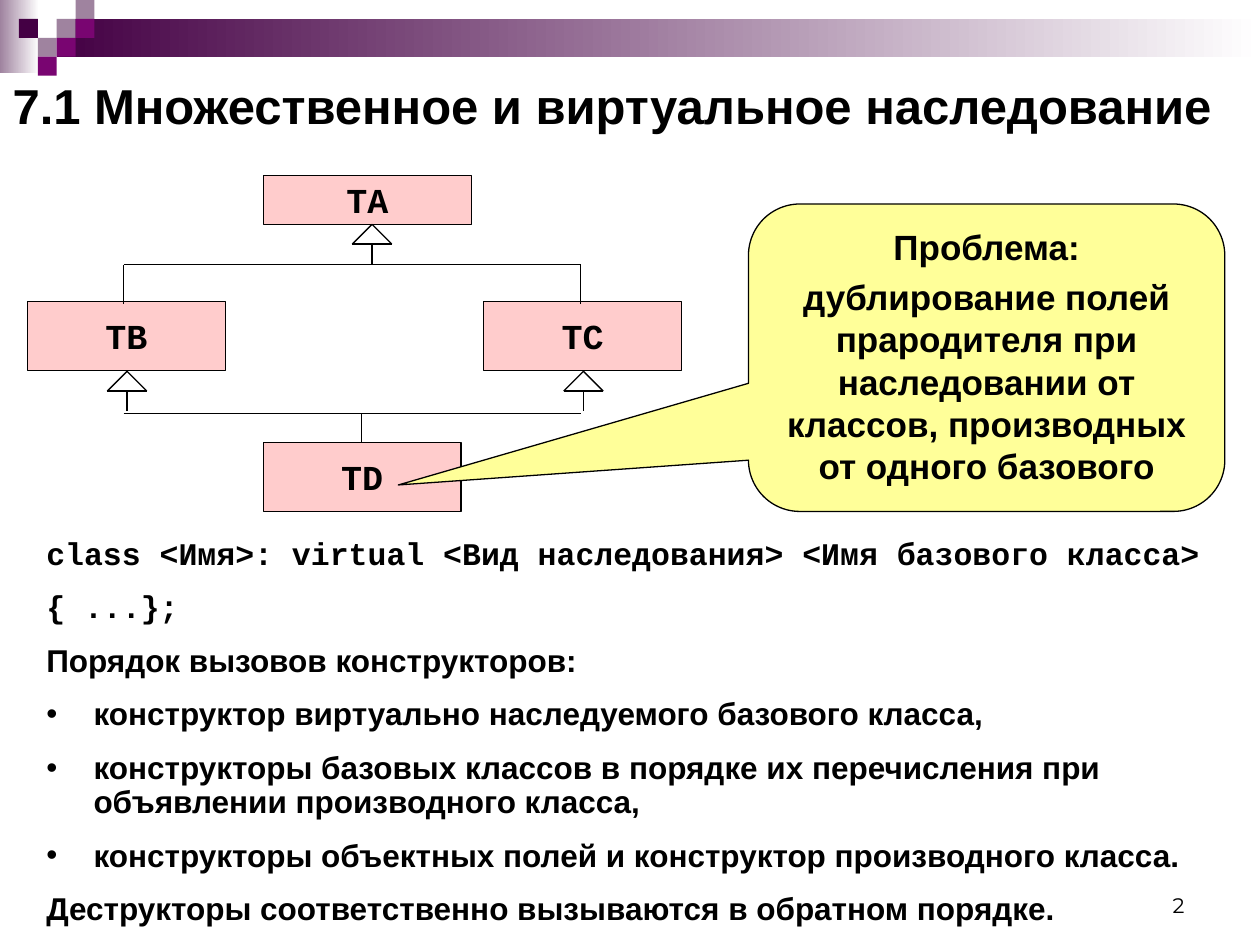
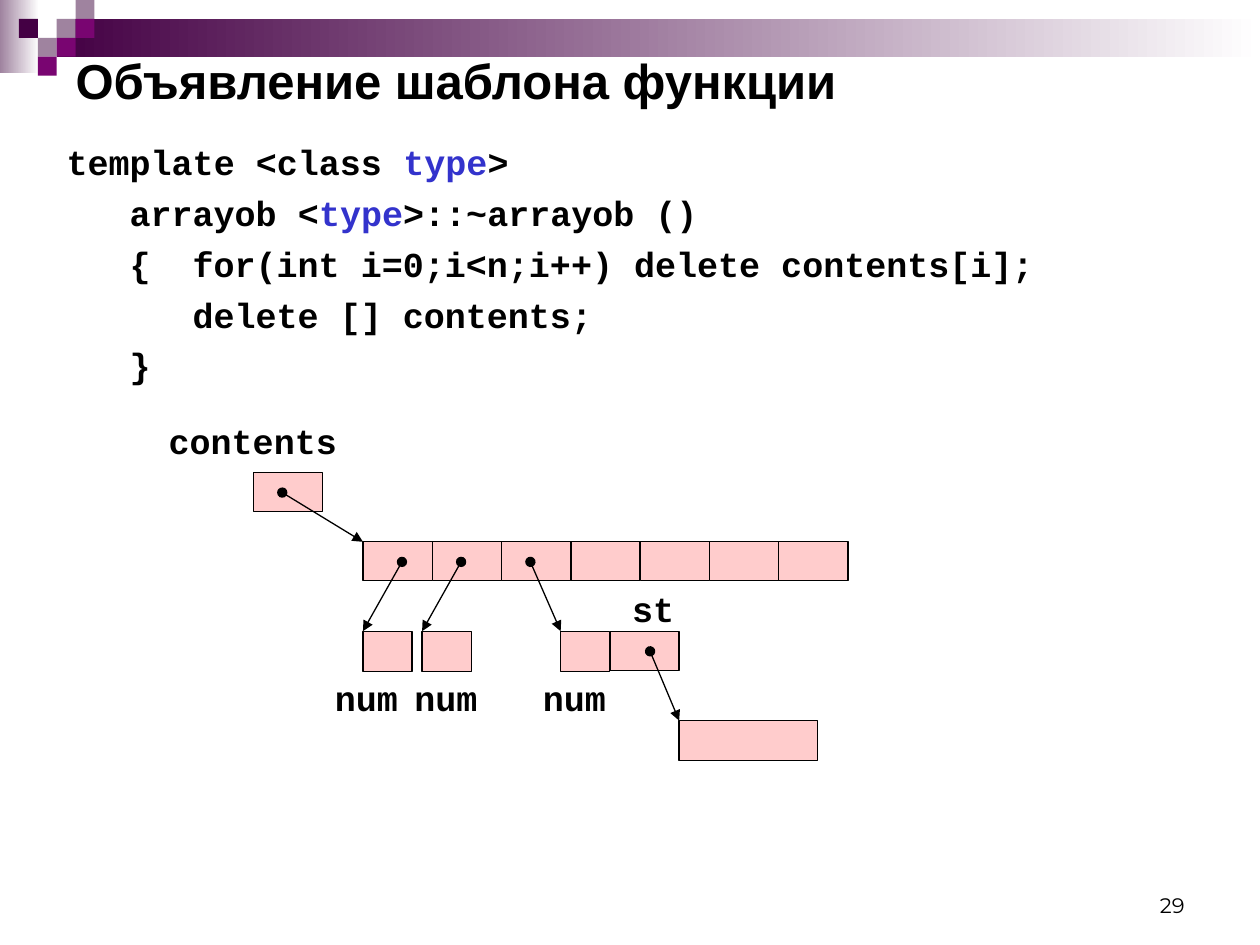
from lxml.etree import SubElement
from pptx import Presentation
from pptx.dml.color import RGBColor
from pptx.enum.shapes import MSO_CONNECTOR, MSO_SHAPE
from pptx.enum.text import MSO_ANCHOR as ANCHOR, MSO_AUTO_SIZE, PP_ALIGN as ALIGN
from pptx.oxml.ns import qn
from pptx.util import Pt

SANS, MONO, NUMBER_FONT = "Arial", "Courier New", "Montserrat"
BLACK, WHITE, BLUE = "000000", "FFFFFF", "3333CC"
PINK, YELLOW = "FFCCCC", "FFFF99"
DARK, PURPLE, MAUVE = "440044", "790571", "9F839F"
LINE_WIDTH = 0.74
SQUARE = 10.8  # side of a corner square
HANG = 27  # hanging indent of body text
SQUARES = [(3, 1, MAUVE), (4, 0, MAUVE), (4, 1, PURPLE), (2, 2, MAUVE),
           (1, 1, DARK), (3, 2, PURPLE), (2, 3, PURPLE)]  # column, row, colour


def rgb(value):
    """Turn a hex string into a colour."""
    return RGBColor.from_string(value)


def style(p, size, font=SANS, color=BLACK, bold=True):
    """Format every run of a paragraph."""
    for r in p.runs:
        r.font.size, r.font.name, r.font.bold = Pt(size), font, bold
        r.font.color.rgb = rgb(color)


def indent(p, left, first):
    """Set the left margin and the first-line indent of a paragraph."""
    pPr = p._p.get_or_add_pPr()
    pPr.set("marL", str(Pt(left)))
    pPr.set("indent", str(Pt(first)))


def bullet(p):
    """Give a paragraph a round black bullet."""
    pPr = p._p.get_or_add_pPr()
    SubElement(SubElement(pPr, qn("a:buClr")), qn("a:srgbClr")).set("val", BLACK)
    SubElement(pPr, qn("a:buFont")).set("typeface", SANS)
    SubElement(pPr, qn("a:buChar")).set("char", "•")


def add_paragraph(tf, text):
    """Return a paragraph with the text, using the empty first one if it is free."""
    p = tf.paragraphs[0] if not tf.text else tf.add_paragraph()
    p.text = text
    return p


def add_box(s, x, y, w, h, fill=PINK, shape=MSO_SHAPE.RECTANGLE):
    """Draw a filled shape with a thin black outline."""
    sp = s.shapes.add_shape(shape, Pt(x), Pt(y), Pt(w), Pt(h))
    sp.shadow.inherit = False
    sp.fill.solid()
    sp.fill.fore_color.rgb = rgb(fill)
    sp.line.color.rgb = rgb(BLACK)
    sp.line.width = Pt(LINE_WIDTH)
    return sp


def add_gradient(s, x, y, w, h, color):
    """Draw a bar that fades from a colour to white, left to right."""
    sp = add_box(s, x, y, w, h)
    sp.line.fill.background()
    sp.fill.gradient()
    sp.fill.gradient_angle = 0
    for stop, value in zip(sp.fill.gradient_stops, (color, WHITE)):
        stop.color.rgb = rgb(value)


def add_line(s, x1, y1, x2, y2, pointer=False):
    """Draw a thin line; a pointer starts with a dot and ends with an arrowhead."""
    c = s.shapes.add_connector(MSO_CONNECTOR.STRAIGHT, Pt(x1), Pt(y1), Pt(x2), Pt(y2))
    c.line.color.rgb = rgb(BLACK)
    c.line.width = Pt(LINE_WIDTH)
    spPr = c._element.spPr
    if pointer:
        ln = spPr.find(qn("a:ln"))
        SubElement(ln, qn("a:headEnd")).set("type", "oval")
        SubElement(ln, qn("a:tailEnd")).set("type", "triangle")
    SubElement(spPr, qn("a:effectLst"))


def add_text(s, x, y, w, h):
    """Add an empty wrapping text box and return its text frame."""
    tf = s.shapes.add_textbox(Pt(x), Pt(y), Pt(w), Pt(h)).text_frame
    tf.word_wrap = True
    return tf


def add_label(s, x, y, text, w=85):
    """Add a code label beside a memory cell."""
    p = add_paragraph(add_text(s, x, y, w, 31.7), text)
    p.space_before = Pt(5)
    style(p, 20, MONO)


def add_class(s, x, y, w, h, name):
    """Draw a class box with its name."""
    tf = add_box(s, x, y, w, h).text_frame
    tf.text = name
    tf.word_wrap = False
    tf.vertical_anchor = ANCHOR.MIDDLE
    tf.paragraphs[0].alignment = ALIGN.CENTER
    style(tf.paragraphs[0], 20, MONO)


def add_inheritance(s, x, y, size=11.3):
    """Draw an open triangle with its tip at (x, y) and a stem below."""
    base = y + size
    add_line(s, x, base + size, x, base)
    add_line(s, x - size, base, x + size, base)
    for side in (-size, size):
        add_line(s, x, y, x + side, base)


def decorate_layout(layout, s):
    """Draw the top band and squares on a slide and move them to its layout."""
    for ph in list(layout.placeholders)[1:]:
        ph._element.getparent().remove(ph._element)
    add_gradient(s, 0, 0, 22.3, 41.8, MAUVE)
    add_gradient(s, 32.4, SQUARE, 687.6, 2 * SQUARE, DARK)
    for col, row, color in SQUARES:
        sq = add_box(s, col * SQUARE, row * SQUARE, SQUARE, SQUARE, color)
        sq.line.fill.background()
    for sp in list(s.shapes)[1:]:
        layout.shapes._spTree.append(sp._element)


def set_frame(s, number, text, x, y, w, h):
    """Fill and place the title and add the slide number."""
    title = s.shapes.title
    title.left, title.top, title.width, title.height = Pt(x), Pt(y), Pt(w), Pt(h)
    tf = title.text_frame
    tf.text = text
    tf.auto_size = MSO_AUTO_SIZE.NONE
    tf.vertical_anchor = ANCHOR.MIDDLE
    tf.paragraphs[0].alignment = ALIGN.LEFT
    style(tf.paragraphs[0], 28)

    tf = add_text(s, 516.2, 491.8, 167.8, 36)
    tf.vertical_anchor = ANCHOR.BOTTOM
    p = add_paragraph(tf, str(number))
    p.alignment = ALIGN.RIGHT
    style(p, 12, NUMBER_FONT, bold=False)


def build_inheritance(s):
    """Multiple inheritance: syntax, class diagram and callout."""
    set_frame(s, 2, "7.1 Множественное и виртуальное наследование", 0, 43.2, 720, 33.8)
    tf = add_text(s, 19.4, 303.8, 700.6, 230.4)
    rows = [
        ("class <Имя>: virtual <Вид наследования> <Имя базового класса>", MONO, False),
        ("{ ...};", MONO, False),
        ("Порядок вызовов конструкторов:", SANS, False),
        ("конструктор виртуально наследуемого базового класса,", SANS, True),
        ("конструкторы базовых классов в порядке их перечисления при "
         "объявлении производного класса,", SANS, True),
        ("конструкторы объектных полей и конструктор производного класса.", SANS, True),
        ("Деструкторы соответственно вызываются в обратном порядке.", SANS, False),
    ]
    for text, font, bulleted in rows:
        p = add_paragraph(tf, text)
        p.line_spacing, p.space_before = 0.9, Pt(11.2)
        indent(p, HANG, -HANG)
        if bulleted:
            bullet(p)
        style(p, 18, font)

    add_class(s, 150.5, 100.1, 118.8, 28.1, "TA")
    for x, y, name in [(15.8, 172.1, "TB"), (276.5, 172.1, "TC"), (150.5, 252.7, "TD")]:
        add_class(s, x, y, 113, 39.6, name)
    for x, y in [(212.6, 128.2), (72.6, 212.2), (333.4, 212.2)]:
        add_inheritance(s, x, y)
    left, right, upper, lower = 70.6, 331.9, 151.2, 236.2
    for y in (upper, lower):
        add_line(s, left, y, right, y)
    for x in (left, right):
        add_line(s, x, 173.5, x, upper)
    add_line(s, 206.6, 252.7, 206.6, lower)

    sp = add_box(s, 427.7, 116.6, 272.2, 175.7, YELLOW, MSO_SHAPE.ROUNDED_RECTANGULAR_CALLOUT)
    for i, value in enumerate((-1.235, 0.414, 0.167)):
        sp.adjustments[i] = value
    tf = sp.text_frame
    tf.vertical_anchor = ANCHOR.TOP
    for text in ("Проблема:", "дублирование полей прародителя при наследовании от "
                 "классов, производных от одного базового"):
        p = add_paragraph(tf, text)
        p.alignment, p.space_before = ALIGN.CENTER, Pt(5)
        style(p, 20)


def build_template(s):
    """Function template: code and memory diagram."""
    set_frame(s, 29, "Объявление шаблона функции", 36, 25.9, 648, 39.6)
    tf = add_text(s, 31, 77, 648, 153.4)
    step = 36  # three characters of code
    code = [
        ("template <class |type|>", 0, 0),
        ("arrayob <|type|>::~arrayob ()", step, 0),
        ("{\tfor(int i=0;i<n;i++) delete contents[i];", 2 * step, -step),
        ("delete [] contents;", 2 * step, 0),
        ("}", step, 0),
    ]
    for text, left, first in code:
        p = add_paragraph(tf, "")if not tf.text else tf.add_paragraph()
        for part in text.split("|"):
            p.add_run().text = part
        p.space_before = Pt(5)
        indent(p, left, first)
        style(p, 20, MONO)
        for r in p.runs:
            if r.text == "type":
                r.font.color.rgb = rgb(BLUE)

    cell_w, cell_h, small_w, small_h = 39.6, 22.3, 28.1, 23
    array_x, array_y, item_y = 207.4, 309.6, 360.7
    add_box(s, 144.7, 270, cell_w, cell_h)
    for i in range(7):
        add_box(s, array_x + i * cell_w, array_y, cell_w, cell_h)
    add_box(s, 348.5, item_y, cell_w, cell_h)
    add_box(s, 388.1, 411.8, 2 * cell_w, small_h)
    # start of the pointer, left edge of the item, left edge of its label
    for start, x, label_x in [(229.7, 207.4, 184.3), (263.5, 241.2, 229.7),
                              (303.1, 320.4, 303.1)]:
        add_box(s, x, item_y, small_w, small_h)
        add_line(s, start, 321.1, x, item_y, pointer=True)
        add_label(s, label_x, 383.3, "num")
    add_line(s, 161.3, 281.5, array_x, array_y, pointer=True)
    add_line(s, 371.5, 372.2, 388.1, 411.8, pointer=True)
    add_label(s, 89.3, 236.2, "contents", 164.2)
    add_label(s, 354.2, 331.9, "st")


def main():
    """Build both slides and save the file."""
    prs = Presentation()
    prs.slide_width, prs.slide_height = Pt(720), Pt(540)
    layout = prs.slide_layouts[5]
    first, second = (prs.slides.add_slide(layout) for _ in range(2))
    decorate_layout(layout, first)
    build_inheritance(first)
    build_template(second)
    prs.save("out.pptx")


main()
